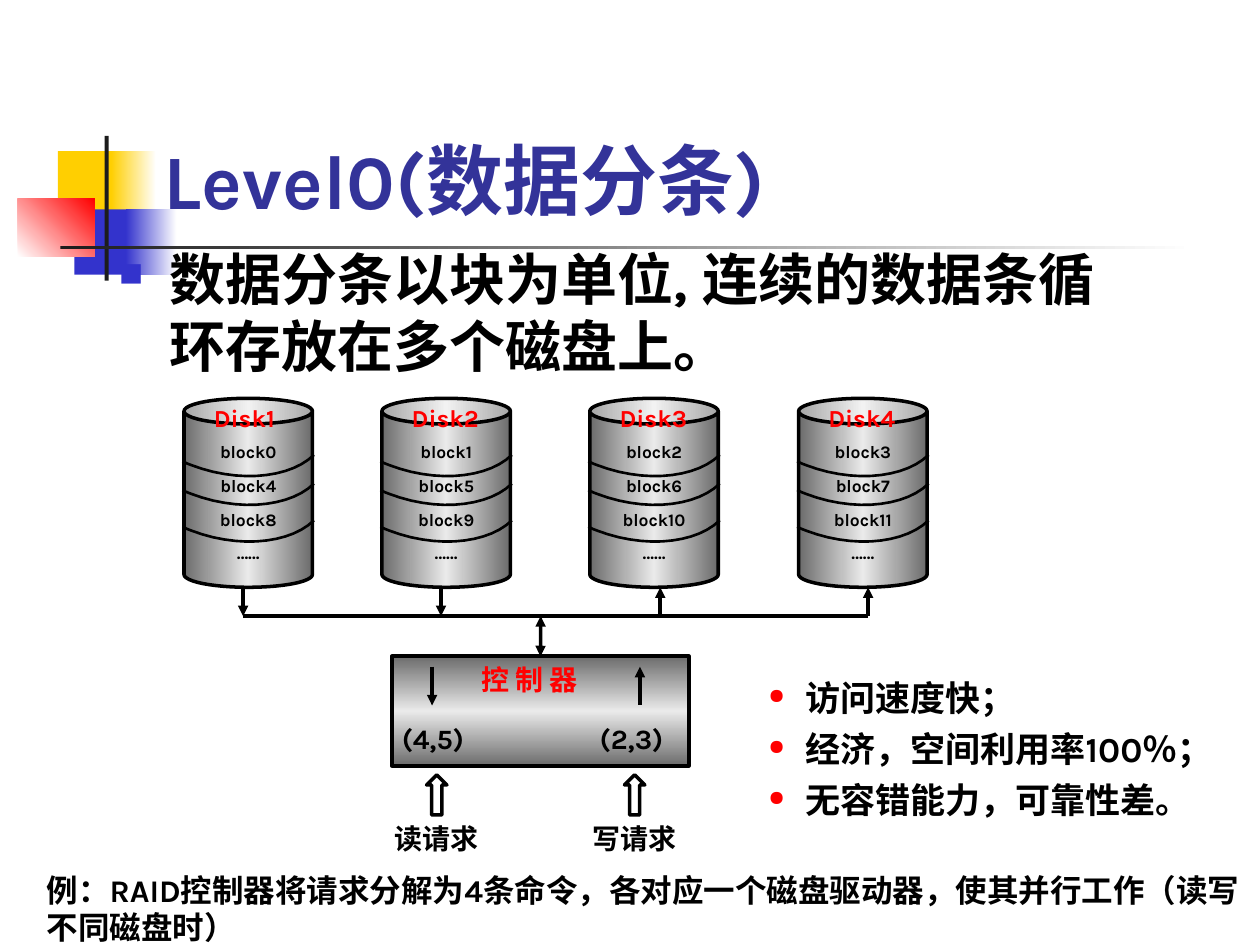
from dataclasses import dataclass

from lxml.etree import SubElement
from copy import deepcopy
from pptx import Presentation
from pptx.dml.color import RGBColor
from pptx.enum.shapes import MSO_CONNECTOR, MSO_SHAPE
from pptx.enum.text import MSO_ANCHOR, PP_ALIGN
from pptx.oxml.ns import qn
from pptx.util import Cm, Pt

COLORS = {
    "black": "000000", "white": "FFFFFF", "red": "FF0000", "yellow": "FFCF01",
    "blue": "3333CC", "title": "333399", "ink": "1C1C1C",
    "steel": "6C6C6C", "shine": "EAEAEA",
}
METAL = ("steel", "shine", "steel")
FONT = "Karla"


@dataclass
class Box:
    left: float
    top: float
    width: float
    height: float

    def emu(self) -> tuple:
        return tuple(Cm(v) for v in (self.left, self.top, self.width, self.height))


@dataclass
class Bullet:
    char: str
    color: str
    indent: float


@dataclass
class Disk:
    left: float
    stem: float
    reads: bool


@dataclass
class Request:
    caption: str
    blocks: str
    left: float
    flow: float
    reads: bool


def rgb(name: str) -> RGBColor:
    return RGBColor.from_string(COLORS[name])


def paint(shape, colors: tuple, angle: int = 0) -> None:
    """Fill with nothing, one colour or an even gradient."""
    if not colors:
        shape.fill.background()
    elif len(colors) == 1:
        shape.fill.solid()
        shape.fill.fore_color.rgb = rgb(colors[0])
    else:
        shape.fill.gradient()
        shape.fill.gradient_angle = angle
        stops = shape._element.spPr.find(".//" + qn("a:gsLst"))
        while len(stops) < len(colors):
            stops.append(deepcopy(stops[0]))
        for i, (stop, color) in enumerate(zip(shape.fill.gradient_stops, colors)):
            stop.color.rgb = rgb(color)
            stop.position = i / (len(colors) - 1)


def outline(shape, width: float) -> None:
    if width:
        shape.line.color.rgb = rgb("black")
        shape.line.width = Pt(width)
    else:
        shape.line.fill.background()


def add_block(slide, kind, box: Box, colors: tuple = (), angle: int = 0, line: float = 0):
    shape = slide.shapes.add_shape(kind, *box.emu())
    shape.shadow.inherit = False
    paint(shape, colors, angle)
    outline(shape, line)
    return shape


def add_line(slide, x1: float, y1: float, x2: float, y2: float,
             head: bool = False, tail: bool = False):
    link = slide.shapes.add_connector(MSO_CONNECTOR.STRAIGHT, Cm(x1), Cm(y1), Cm(x2), Cm(y2))
    outline(link, 2)
    for wanted, tag in ((head, "a:headEnd"), (tail, "a:tailEnd")):
        if wanted:
            SubElement(link.line._ln, qn(tag), type="triangle")
    SubElement(link._element.spPr, qn("a:effectLst"))
    return link


def add_bullet(paragraph, bullet: Bullet) -> None:
    props = paragraph._p.get_or_add_pPr()
    props.set("marL", str(Cm(bullet.indent)))
    props.set("indent", str(-Cm(bullet.indent)))
    SubElement(SubElement(props, qn("a:buClr")), qn("a:srgbClr"), val=COLORS[bullet.color])
    SubElement(props, qn("a:buSzPct"), val="60000")
    SubElement(props, qn("a:buChar"), char=bullet.char)


def write(shape, *lines: str, size: float, color: str = "black", align=PP_ALIGN.LEFT,
          anchor=MSO_ANCHOR.TOP, margins: tuple = (0, 0, 0, 0), wrap: bool = True,
          spacing: float = 1, gap: float = 0, bullet: Bullet | None = None) -> None:
    frame = shape.text_frame
    frame.word_wrap = wrap
    frame.vertical_anchor = anchor
    (frame.margin_left, frame.margin_top,
     frame.margin_right, frame.margin_bottom) = (Cm(m) for m in margins)
    for i, line in enumerate(lines):
        paragraph = frame.add_paragraph() if i else frame.paragraphs[0]
        if bullet:
            add_bullet(paragraph, bullet)
        paragraph.alignment = align
        paragraph.line_spacing = spacing
        paragraph.space_before = Pt(gap if i else 0)
        run = paragraph.add_run()
        run.text = line
        run.font.name, run.font.size, run.font.bold = FONT, Pt(size), True
        run.font.color.rgb = rgb(color)


def add_text(slide, box: Box, *lines: str, **form) -> None:
    write(slide.shapes.add_textbox(*box.emu()), *lines, **form)


def bezier(points: tuple, steps: int = 12) -> list:
    (x0, y0), (x1, y1), (x2, y2), (x3, y3) = points
    curve = []
    for i in range(steps + 1):
        t = i / steps
        a, b, c, d = (1 - t) ** 3, 3 * t * (1 - t) ** 2, 3 * t * t * (1 - t), t ** 3
        curve.append((a * x0 + b * x1 + c * x2 + d * x3, a * y0 + b * y1 + c * y2 + d * y3))
    return curve


# Stripe edge, from the right side of a disk to its left side
STRIPE = (bezier(((2.62, 0), (2.18, 0.43), (1.27, 0.56), (0.36, 0.28)))
          + bezier(((0.36, 0.28), (0.23, 0.23), (0.1, 0.2), (-0.03, 0.13)), 4)[1:])
STRIPE_TOPS = (9.17, 9.75, 10.49)
DISK_TOP, DISK_BOTTOM, BUS = 8.03, 11.84, 12.42
DISKS = (Disk(3.71, 4.9, True), Disk(7.7, 8.89, True),
         Disk(11.89, 13.31, False), Disk(16.1, 17.5, False))
REQUESTS = (Request("读请求", "(4,5)", 7.9, 8.71, True),
            Request("写请求", "(2,3)", 11.89, 12.9, False))


def add_disk(slide, number: int, disk: Disk) -> None:
    can = add_block(slide, MSO_SHAPE.CAN, Box(disk.left, DISK_TOP, 2.59, DISK_BOTTOM - DISK_TOP),
                    METAL, line=2)
    can.adjustments[0] = 0.2
    blocks = [f"block{number + row * len(DISKS)}" for row in range(3)]
    write(can, *blocks, "……", size=10, align=PP_ALIGN.CENTER, anchor=MSO_ANCHOR.MIDDLE,
          margins=(0.25, 0, 0.25, 0.13), wrap=False, spacing=1.6)
    add_text(slide, Box(disk.left + 0.6, 8.13, 1.4, 0.58), f"Disk{number + 1}",
             size=14, color="red")
    for top in STRIPE_TOPS:
        points = [(Cm(disk.left + x), Cm(top + y)) for x, y in STRIPE]
        builder = slide.shapes.build_freeform(*points[0])
        builder.add_line_segments(points[1:], close=False)
        stripe = builder.convert_to_shape()
        stripe.shadow.inherit = False
        paint(stripe, ())
        outline(stripe, 1.5)
    add_line(slide, disk.stem, DISK_BOTTOM, disk.stem, BUS, head=not disk.reads, tail=disk.reads)


def add_request(slide, request: Request) -> None:
    add_line(slide, request.flow, 13.44, request.flow, 14.22,
             head=not request.reads, tail=request.reads)
    add_text(slide, Box(request.left + 0.2, 14.55, 1.6, 0.69), request.blocks, size=16)
    arrow = add_block(slide, MSO_SHAPE.UP_ARROW, Box(request.left + 0.7, 15.62, 0.41, 0.81), line=2)
    arrow.adjustments[0], arrow.adjustments[1] = 0.5, 0.5
    add_text(slide, Box(request.left, 16.56, 1.8, 0.69), request.caption,
             size=16, align=PP_ALIGN.CENTER)


def main() -> None:
    deck = Presentation()
    deck.slide_width, deck.slide_height = Cm(25.4), Cm(19.05)
    slide = deck.slides.add_slide(deck.slide_layouts[5])

    # Coloured squares and rules beside the title
    for box, colors, angle in (
        (Box(1.17, 3.05, 1.22, 1.32), ("yellow",), 0),
        (Box(2.24, 3.05, 0.91, 1.32), ("yellow", "white"), 0),
        (Box(1.5, 4.22, 1.17, 1.32), ("blue",), 0),
        (Box(2.54, 4.22, 1.02, 1.32), ("blue", "white"), 0),
        (Box(0.36, 4.01, 1.55, 1.17), ("white", "red"), 45),
        (Box(2.11, 2.74, 0.08, 2.92), ("ink",), 0),
        (Box(1.22, 4.95, 22.86, 0.08), ("ink", "white"), 0),
    ):
        add_block(slide, MSO_SHAPE.RECTANGLE, box, colors, angle)

    # Title, in front of the squares, and statement
    title = slide.shapes.title
    slide.shapes._spTree.append(title._element)
    title.left, title.top, title.width, title.height = Box(3.3, 2.69, 16.51, 1.85).emu()
    write(title, "Level0(数据分条)", size=44, color="title", anchor=MSO_ANCHOR.BOTTOM)
    add_text(slide, Box(2.39, 4.93, 20.19, 2.72),
             "数据分条以块为单位, 连续的数据条循环存放在多个磁盘上。",
             size=32, bullet=Bullet("■", "blue", 1.02))

    # Advantages and drawback
    add_text(slide, Box(15.49, 13.64, 9.4, 2.9), "访问速度快；", "经济，空间利用率100％；",
             "无容错能力，可靠性差。", size=20, gap=5, bullet=Bullet("●", "red", 0.74))

    # Disks on their bus
    for number, disk in enumerate(DISKS):
        add_disk(slide, number, disk)
    add_line(slide, DISKS[0].stem, BUS, DISKS[-1].stem, BUS)

    # Controller and its requests
    controller = add_block(slide, MSO_SHAPE.RECTANGLE, Box(7.9, 13.23, 5.99, 2.21),
                           METAL, angle=90, line=2)
    trunk = add_line(slide, 10.9, BUS, 10.9, 13.23, head=True, tail=True)
    trunk.end_connect(controller, 0)
    add_text(slide, Box(9.7, 13.36, 2.21, 0.69), "控 制 器", size=16, color="red")
    for request in REQUESTS:
        add_request(slide, request)

    # Example
    add_text(slide, Box(0.69, 17.42, 24.71, 1.78),
             "例：RAID控制器将请求分解为4条命令，各对应一个磁盘驱动器，使其并行工作（读写不同磁盘时）",
             size=18, margins=(0.25, 0.13, 0.25, 0.13))

    deck.save("out.pptx")


if __name__ == "__main__":
    main()
